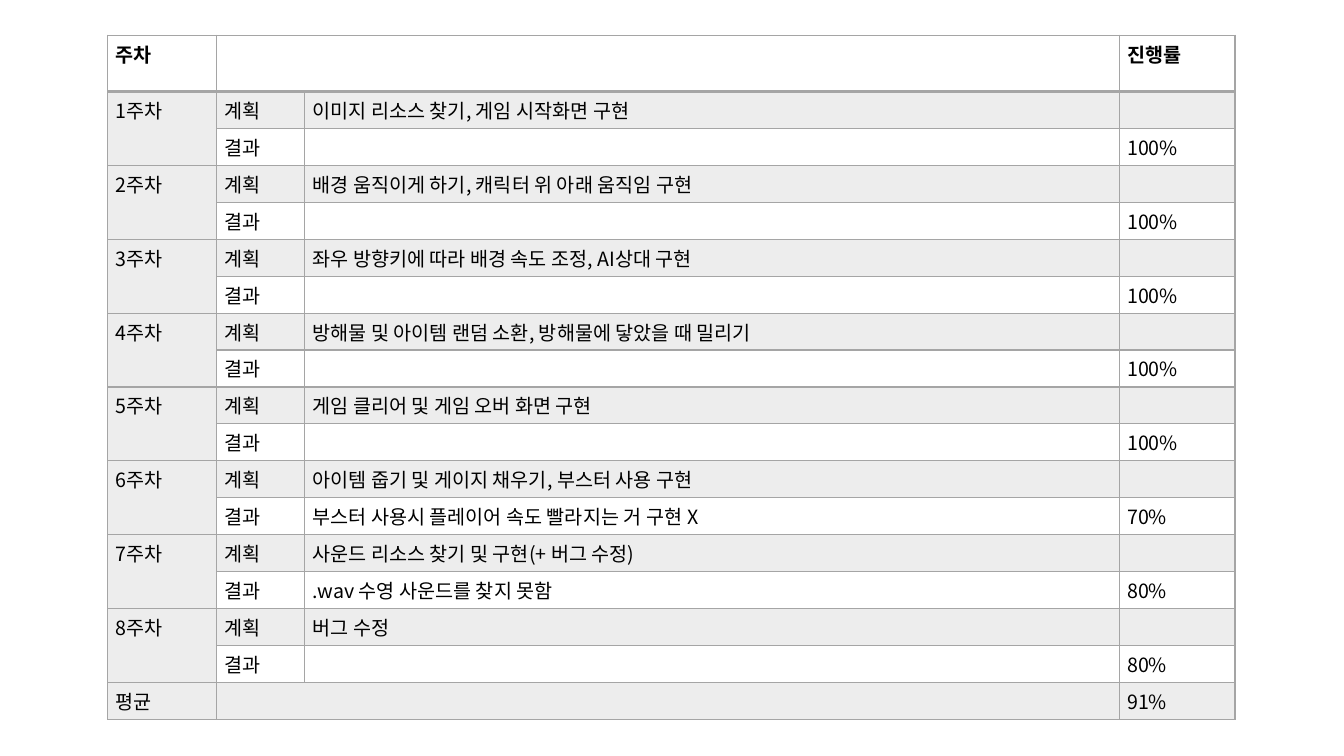
from dataclasses import dataclass

from lxml.etree import SubElement
from pptx import Presentation
from pptx.dml.color import RGBColor
from pptx.oxml.ns import qn
from pptx.table import Table, _Cell
from pptx.util import Inches, Pt


@dataclass(frozen=True)
class Theme:
    font: str = "Noto Sans CJK KR"
    text: str = "000000"
    grey: str = "A5A5A5"
    band_opacity: int = 20
    size: int = 14
    border: int = 1
    header_border: int = 2


@dataclass(frozen=True)
class Week:
    plan: str
    result: str
    progress: str


THEME = Theme()
COLUMN_WIDTHS = (1.08, 0.87, 8.08, 1.15)
HEADER_HEIGHT = 0.56
TABLE_HEIGHT = 6.79
WEEKS = (
    Week("이미지 리소스 찾기, 게임 시작화면 구현", "", "100%"),
    Week("배경 움직이게 하기, 캐릭터 위 아래 움직임 구현", "", "100%"),
    Week("좌우 방향키에 따라 배경 속도 조정, AI상대 구현", "", "100%"),
    Week("방해물 및 아이템 랜덤 소환, 방해물에 닿았을 때 밀리기", "", "100%"),
    Week("게임 클리어 및 게임 오버 화면 구현", "", "100%"),
    Week("아이템 줍기 및 게이지 채우기, 부스터 사용 구현",
         "부스터 사용시 플레이어 속도 빨라지는 거 구현 X", "70%"),
    Week("사운드 리소스 찾기 및 구현(+ 버그 수정)",
         ".wav 수영 사운드를 찾지 못함", "80%"),
    Week("버그 수정", "", "80%"),
)


def draw_border(cell: _Cell, side: str, width: float) -> None:
    line = SubElement(cell._tc.get_or_add_tcPr(), qn(f"a:ln{side}"), w=str(Pt(width)))
    fill = SubElement(line, qn("a:solidFill"))
    SubElement(fill, qn("a:srgbClr"), val=THEME.grey)


def fill_band(cell: _Cell) -> None:
    cell.fill.solid()
    cell.fill.fore_color.rgb = RGBColor.from_string(THEME.grey)
    colour = cell._tc.tcPr.find(f"{qn('a:solidFill')}/{qn('a:srgbClr')}")
    SubElement(colour, qn("a:alpha"), val=str(THEME.band_opacity * 1000))


def format_cell(cell: _Cell, text: str, header: bool, banded: bool,
                top: float, bottom: float) -> None:
    cell.margin_left = cell.margin_right = Inches(0.08)
    cell.margin_top = cell.margin_bottom = Inches(0.04)
    cell.text = text
    paragraph = cell.text_frame.paragraphs[0]
    font = paragraph.font
    font.size = Pt(THEME.size)
    font.bold = header
    font.name = THEME.font
    font.color.rgb = RGBColor.from_string(THEME.text)
    SubElement(font._element, qn("a:ea"), typeface=THEME.font)
    if not text:
        SubElement(paragraph._p, qn("a:endParaRPr"), sz=str(THEME.size * 100))
    for side, width in zip("LRTB", (THEME.border, THEME.border, top, bottom)):
        draw_border(cell, side, width)
    if banded:
        fill_band(cell)
    else:
        cell.fill.background()


def schedule_rows() -> list[tuple[str, ...]]:
    rows = [("주차", "", "", "진행률")]
    for number, week in enumerate(WEEKS, 1):
        rows.append((f"{number}주차", "계획", week.plan, ""))
        rows.append(("", "결과", week.result, week.progress))
    return rows + [("평균", "", "", "91%")]


def fill_schedule(table: Table, rows: list[tuple[str, ...]]) -> None:
    table.horz_banding = False
    for column, width in zip(table.columns, COLUMN_WIDTHS):
        column.width = Inches(width)
    row_height = (TABLE_HEIGHT - HEADER_HEIGHT) / (len(rows) - 1)
    for r, texts in enumerate(rows):
        header = r == 0
        table.rows[r].height = Inches(HEADER_HEIGHT if header else row_height)
        top = THEME.header_border if r == 1 else THEME.border
        bottom = THEME.header_border if header else THEME.border
        for c, text in enumerate(texts):
            banded = r % 2 == 1 or (c == 0 and not header)
            format_cell(table.cell(r, c), text, header, banded, top, bottom)
    last = len(rows) - 1
    for r in (0, last):
        table.cell(r, 1).merge(table.cell(r, 2))
    for r in range(1, last, 2):
        table.cell(r, 0).merge(table.cell(r + 1, 0))


def main() -> None:
    presentation = Presentation()
    presentation.slide_width = Inches(13.33)
    presentation.slide_height = Inches(7.5)
    slide = presentation.slides.add_slide(presentation.slide_layouts[6])
    rows = schedule_rows()
    schedule = slide.shapes.add_table(
        len(rows), len(COLUMN_WIDTHS), Inches(1.07), Inches(0.35),
        Inches(sum(COLUMN_WIDTHS)), Inches(TABLE_HEIGHT))
    fill_schedule(schedule.table, rows)
    presentation.save("out.pptx")


if __name__ == "__main__":
    main()
